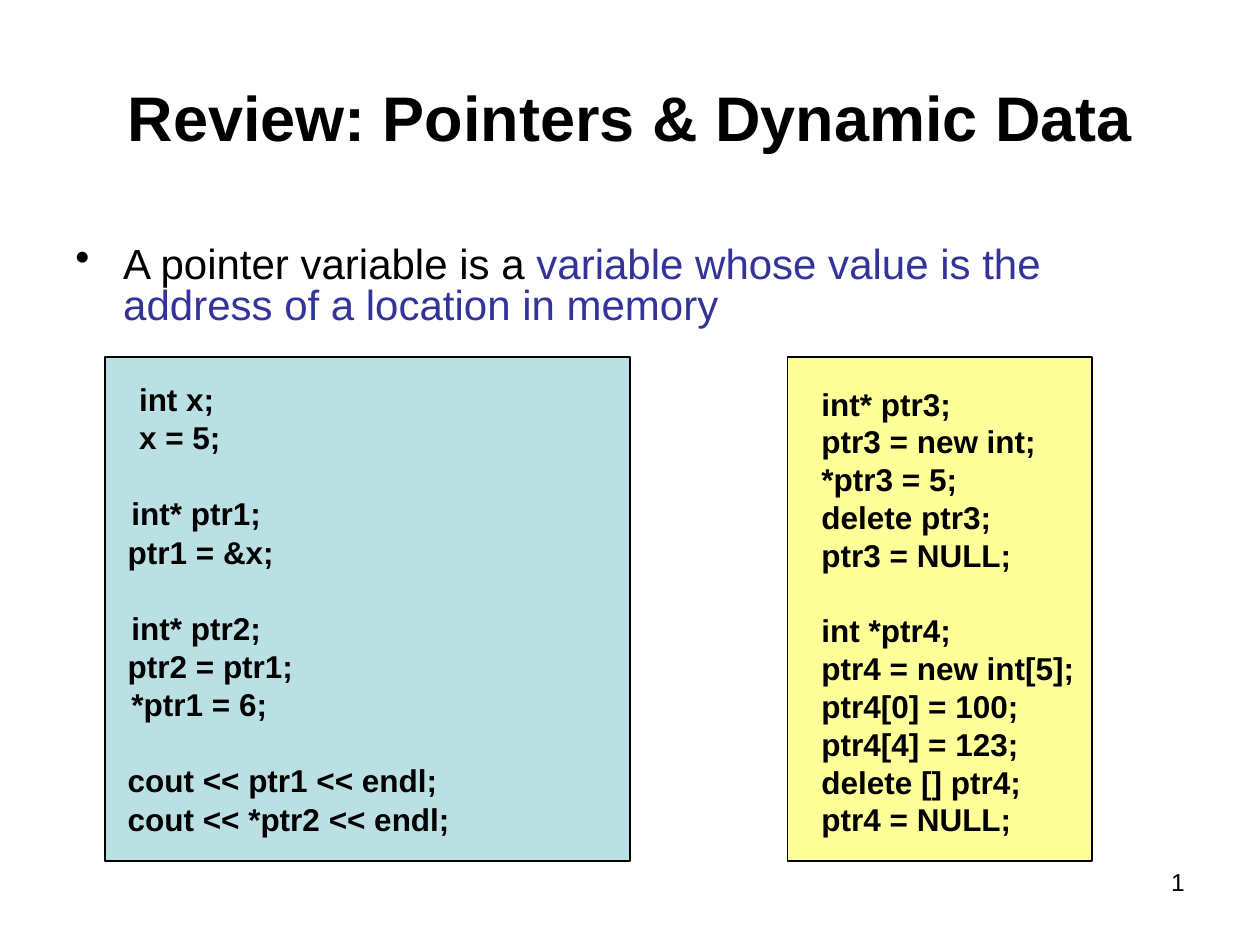
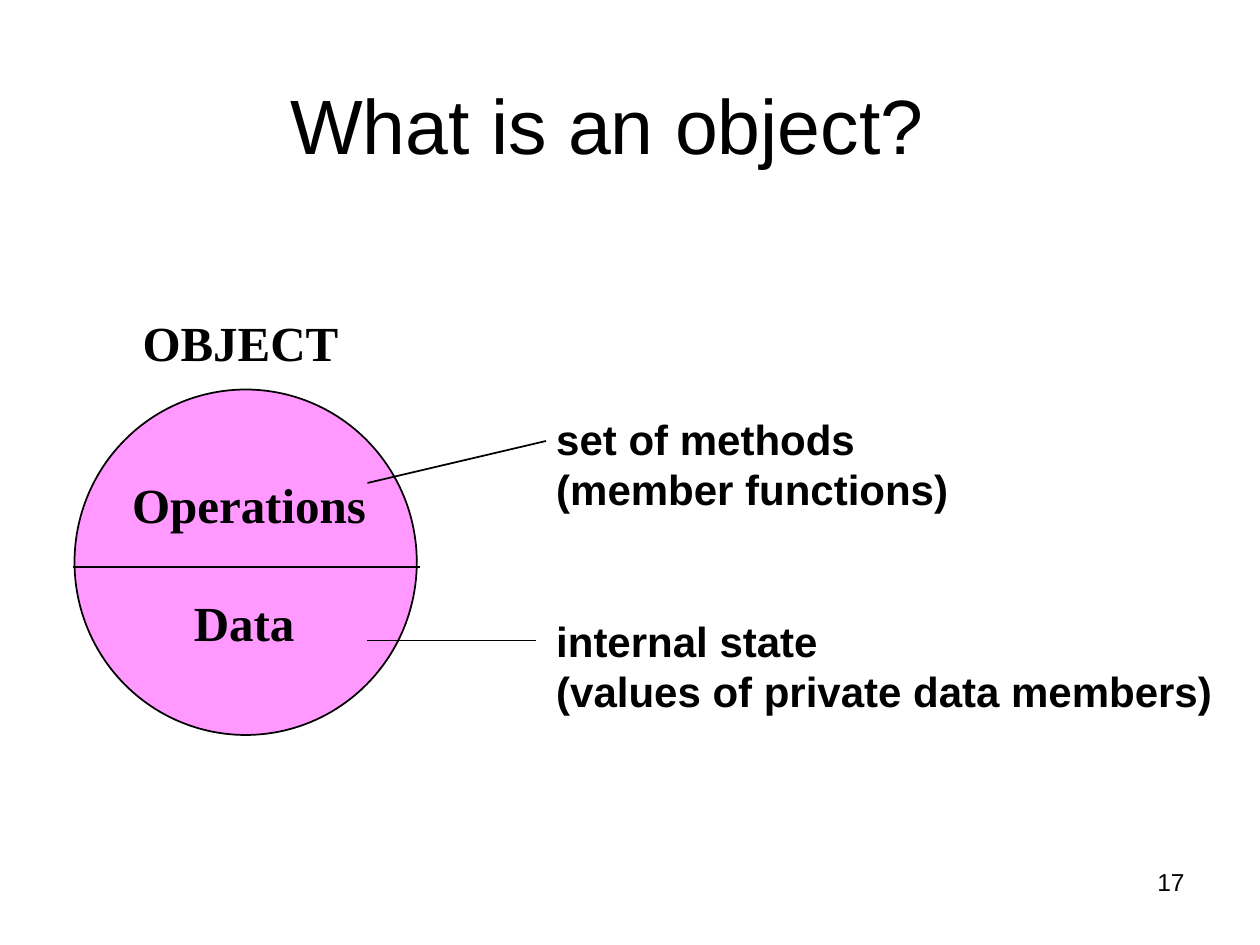
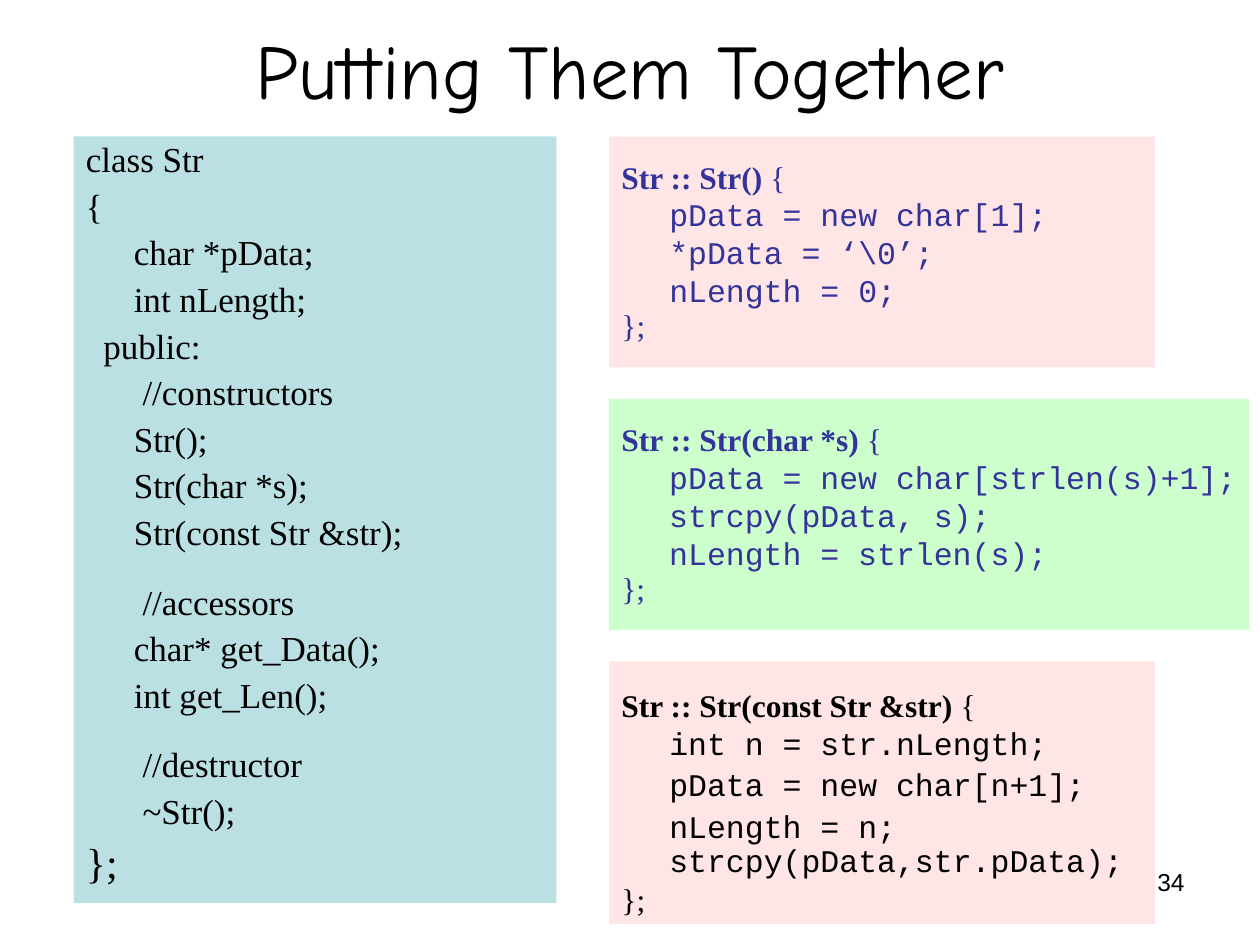
from dataclasses import dataclass
from typing import Any

from lxml import etree
from pptx import Presentation
from pptx.dml.color import RGBColor
from pptx.enum.shapes import MSO_CONNECTOR, MSO_SHAPE
from pptx.enum.text import MSO_ANCHOR, PP_ALIGN
from pptx.oxml.ns import qn
from pptx.util import Emu, Inches, Pt

RECTANGLE, ELLIPSE = MSO_SHAPE.RECTANGLE, MSO_SHAPE.OVAL
STRAIGHT = MSO_CONNECTOR.STRAIGHT
TOP, MIDDLE, BOTTOM = MSO_ANCHOR.TOP, MSO_ANCHOR.MIDDLE, MSO_ANCHOR.BOTTOM
LEFT, CENTER, RIGHT = PP_ALIGN.LEFT, PP_ALIGN.CENTER, PP_ALIGN.RIGHT

COLUMNS, ROWS = 120, 90
TITLE_ONLY = 5
LINE_HEIGHT = 1.2
INDENT = 0.38
SANS, SERIF, MONO, COMIC = "Arial", "Times New Roman", "Courier New", "Comic Neue"
BLACK, INDIGO = "000000", "333399"
TEAL, YELLOW, PINK, ROSE, MINT = "BBE0E3", "FFFF99", "FF99FF", "FFE5E5", "CCFFCC"
INSETS = (0.1, 0.05, 0.1, 0.05)
BASE = {"size": 18, "name": SANS, "color": BLACK, "bold": False, "align": LEFT,
        "spacing": 1.0, "before": 0, "margin": 0, "bullet": None}


def rgb(value):
    """Turn a hex string into a colour."""
    return RGBColor.from_string(value)


def apply(target, values):
    """Set each named attribute of the target."""
    for name, value in values.items():
        setattr(target, name, value)


def gap(size, spacing=1.0, before=0, lines=1):
    """Give the space before a line that follows skipped lines."""
    return round(lines * (size * LINE_HEIGHT * spacing + before) + before, 1)


@dataclass
class Deck:
    """Hold the presentation, its style and the current slide."""

    presentation: Any
    slide: Any = None

    def place(self, column, row, width, height):
        """Convert grid units to left, top, width and height."""
        across = self.presentation.slide_width / COLUMNS
        down = self.presentation.slide_height / ROWS
        return [Emu(round(n * unit)) for n, unit in
                zip((column, row, width, height), (across, down, across, down))]

    def start(self, title, number, area, **style):
        """Add a slide with its title and its number."""
        layout = self.presentation.slide_layouts[TITLE_ONLY]
        self.slide = self.presentation.slides.add_slide(layout)
        heading = self.slide.shapes.title
        apply(heading, dict(zip(("left", "top", "width", "height"), self.place(*area))))
        self.fill_text(heading, [title], **{"align": CENTER, "anchor": MIDDLE, **style})
        self.label((86, 82, 28, 6.2), [number], size=14, align=RIGHT)

    def fill_text(self, holder, lines, insets=INSETS, anchor=TOP, **style):
        """Fill a shape with lines, each a text or a (content, style) pair."""
        frame = holder.text_frame
        left, top, right, bottom = map(Inches, insets)
        apply(frame, {"word_wrap": True, "vertical_anchor": anchor,
                      "margin_left": left, "margin_top": top,
                      "margin_right": right, "margin_bottom": bottom})
        for index, line in enumerate(lines):
            content, changes = (line, {}) if isinstance(line, str) else line
            look = {**BASE, **style, **changes}
            paragraph = frame.add_paragraph() if index else frame.paragraphs[0]
            self.arrange(paragraph, look, first=index == 0)
            runs = [(content, {})] if isinstance(content, str) else content
            for text, accents in runs:
                run = paragraph.add_run()
                run.text = text
                values = {**look, **accents}
                apply(run.font, {"size": Pt(values["size"]), "name": values["name"],
                                 "bold": values["bold"]})
                run.font.color.rgb = rgb(values["color"])

    def arrange(self, paragraph, look, first):
        """Set the indent, bullet, spacing and alignment of a paragraph."""
        properties = paragraph._p.get_or_add_pPr()
        margin = Inches(look["margin"])
        properties.set("marL", str(margin))
        properties.set("indent", str(-margin if look["bullet"] else 0))
        if look["bullet"]:
            etree.SubElement(properties, qn("a:buChar")).set("char", look["bullet"])
        apply(paragraph, {"alignment": look["align"], "line_spacing": look["spacing"],
                          "space_before": Pt(0 if first else look["before"])})

    def label(self, area, lines, **style):
        """Add a text box."""
        self.fill_text(self.slide.shapes.add_textbox(*self.place(*area)), lines, **style)

    def panel(self, area, fill, lines=(), kind=RECTANGLE, outline=0, **style):
        """Add a filled shape with optional outline and text."""
        shape = self.slide.shapes.add_shape(kind, *self.place(*area))
        shape.shadow.inherit = False
        shape.fill.solid()
        shape.fill.fore_color.rgb = rgb(fill)
        if outline:
            shape.line.color.rgb = rgb(BLACK)
            shape.line.width = Pt(outline)
        else:
            shape.line.fill.background()
        self.fill_text(shape, lines, **style)

    def rule(self, begin, end):
        """Add a thin straight line between two grid points."""
        line = self.slide.shapes.add_connector(STRAIGHT, *self.place(*begin, *end))
        line.line.color.rgb = rgb(BLACK)
        line.line.width = Pt(1)
        etree.SubElement(line._element.spPr, qn("a:effectLst"))


def pointers(deck):
    """Build the review of pointers."""
    deck.start("Review: Pointers & Dynamic Data", "1", (6, 3.6, 108, 15),
               size=36, bold=True)
    definition = [("A pointer variable is a ", {}),
                  ("variable whose value is the address of a location in memory",
                   {"color": INDIGO})]
    deck.label((6, 23, 108, 10), [(definition, {})], size=24, spacing=0.8,
               margin=INDENT, bullet="•")
    skip = gap(18, 0.8, 4.5)
    deep, middle = {"margin": 0.27}, {"margin": 0.21}
    addresses = [
        ("int x;", deep),
        ("x = 5;", deep),
        ("int* ptr1;", {**middle, "before": skip}),
        "ptr1 = &x;",
        ("int* ptr2;", {**middle, "before": skip}),
        "ptr2 = ptr1;",
        ("*ptr1 = 6;", middle),
        ("cout << ptr1 << endl;", {"before": skip}),
        "cout << *ptr2 << endl;",
    ]
    deck.panel((10, 34, 50, 48), TEAL, addresses, outline=0.75, bold=True,
               insets=(0, 0.24, 0, 0), margin=0.18, spacing=0.8, before=4.5)
    allocation = [
        "int* ptr3;", "ptr3 = new int;", "*ptr3 = 5;", "delete ptr3;", "ptr3 = NULL;",
        ("int *ptr4;", {"before": gap(18)}),
        "ptr4 = new int[5];", "ptr4[0] = 100;", "ptr4[4] = 123;",
        "delete [] ptr4;", "ptr4 = NULL;",
    ]
    deck.panel((75, 34, 29, 48), YELLOW, allocation, outline=0.75, bold=True,
               insets=(0.27, 0.22, 0, 0))


def objects(deck):
    """Build the diagram of an object."""
    deck.start("What is an object?", "17", (0, 5, 115.7, 11.8), size=44, anchor=BOTTOM)
    deck.panel((7.1, 37.1, 32.6, 32.9), PINK, kind=ELLIPSE, outline=1)
    serif = {"size": 28, "name": SERIF, "bold": True}
    deck.label((12.4, 29.2, 24, 6.8), ["OBJECT"], **serif)
    deck.label((11.4, 44.6, 28, 18),
               ["Operations", ("Data", {"margin": 0.49, "before": gap(28)})], **serif)
    deck.label((51.8, 38.8, 67, 30),
               ["set of methods", "(member functions)",
                ("internal state", {"before": gap(24, lines=2)}),
                "(values of private data members)"], size=24, bold=True)
    for begin, end in (((35, 46), (52, 42)), ((35, 61), (51, 61)), ((7, 54), (40, 54))):
        deck.rule(begin, end)


def string_class(deck):
    """Build the class listing and its constructors."""
    deck.start("Putting Them Together", "34", (0, 2, 120, 9), size=44, name=COMIC)
    inner = {"margin": INDENT}
    section = {**inner, "before": gap(10, 0.9, 2.5) + 2.5}
    declaration = [
        "class Str",
        "{",
        ("char *pData;", inner),
        ("int nLength;", inner),
        "  public:",
        (" //constructors", inner),
        ("Str();", inner),
        ("Str(char *s);", inner),
        ("Str(const Str &str);", inner),
        (" //accessors", section),
        ("char* get_Data();", inner),
        ("int get_Len();", inner),
        (" //destructor", section),
        (" ~Str();", inner),
        ("};", {"size": 24, "before": 6}),
    ]
    deck.panel((7, 13, 46, 73), TEAL, declaration, size=20, name=SERIF,
               spacing=0.9, before=5)
    constructors = [
        ((58, 13, 52, 22), ROSE, INDIGO, 0.7, "Str :: Str()",
         [("pData = new char[1];", 0.8), ("*pData = ‘\\0’;", 0.8),
          ("nLength = 0;", 0.8)]),
        ((58, 38, 61, 22), MINT, INDIGO, 0.7, "Str :: Str(char *s)",
         [("pData = new char[strlen(s)+1];", 0.8), ("strcpy(pData, s);", 0.8),
          ("nLength = strlen(s);", 0.8)]),
        ((58, 63, 52, 25), ROSE, BLACK, 0.8, "Str :: Str(const Str &str)",
         [("int n = str.nLength;", 0.8), ("pData = new char[n+1];", 0.9),
          ("nLength = n; strcpy(pData,str.pData);", 0.9)]),
    ]
    for area, fill, color, spacing, signature, body in constructors:
        statements = [(code, {**inner, "name": MONO, "spacing": leading})
                      for code, leading in body]
        opening = ([(signature, {"bold": True}), (" {", {})], {})
        deck.panel(area, fill, [opening, *statements, "};"], name=SERIF, color=color,
                   insets=(0.1, 0.25, 0.05, 0.05), spacing=spacing, before=4.5)


def main():
    """Build and save the three slides."""
    presentation = Presentation()
    apply(presentation, {"slide_width": Inches(10), "slide_height": Inches(7.5)})
    deck = Deck(presentation)
    for build in (pointers, objects, string_class):
        build(deck)
    presentation.save("out.pptx")


if __name__ == "__main__":
    main()
